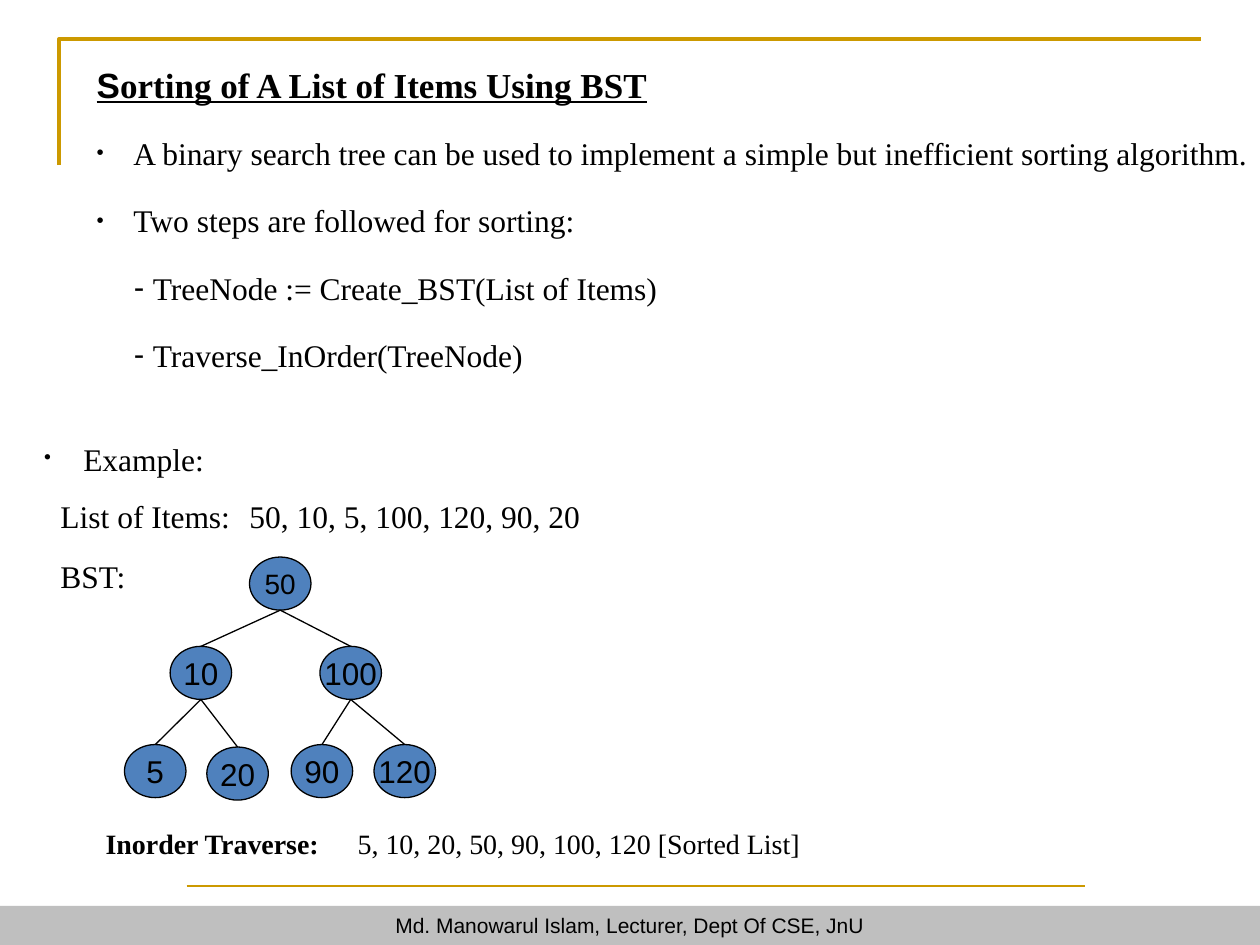
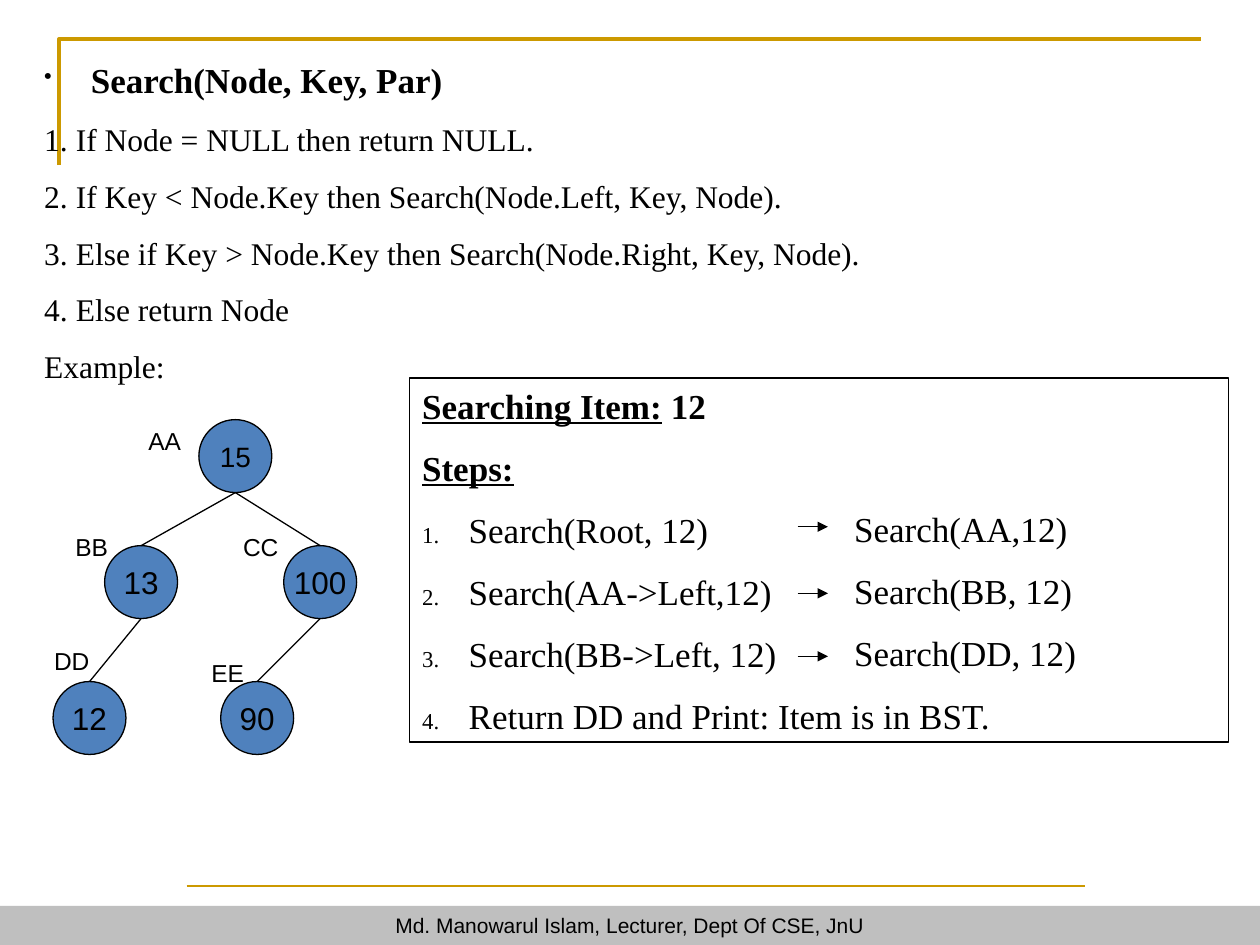
from dataclasses import dataclass
from lxml.etree import SubElement
from pptx import Presentation
from pptx.dml.color import RGBColor
from pptx.enum.shapes import MSO_CONNECTOR, MSO_SHAPE
from pptx.enum.text import MSO_ANCHOR, MSO_AUTO_SIZE, PP_ALIGN
from pptx.oxml.ns import qn
from pptx.util import Cm, Pt

BLACK, GOLD, GREY, BLUE = "000000", "CC9900", "BFBFBF", "4F81BD"
SERIF, SANS = "Times New Roman", "Arial"
FOOTER = "Md. Manowarul Islam, Lecturer, Dept Of CSE, JnU"


def color(hex_string):
    return RGBColor.from_string(hex_string)


@dataclass
class Part:
    text: str
    font: object = None
    bold: object = None
    underline: object = None


@dataclass
class Line:
    content: object
    marker: str = ""
    marker_percent: int = 65
    indent: float = 0
    hang: float = 0
    tab: float = 0
    before: float = 0
    after: float = 0
    size: float = 18
    spacing: float = 32.5
    font: str = SERIF
    bold: bool = False
    underline: bool = False
    align: object = PP_ALIGN.LEFT


def step(content, **options):
    return Line(content, size=20, spacing=24, **options)


def heading(content, **options):
    return step(content, bold=True, **options)


class Deck:
    def __init__(self):
        self.presentation = Presentation()
        self.presentation.slide_width = Cm(25.4)
        self.presentation.slide_height = Cm(19.05)
        self.slide = None

    def new_slide(self):
        layout = self.presentation.slide_layouts.get_by_name("Title and Content")
        self.slide = self.presentation.slides.add_slide(layout)
        self.connector((3.76, 17.86), (21.87, 17.86), GOLD, 1)
        self.shape(MSO_SHAPE.RECTANGLE, (0, 18.26, 25.4, 0.79), FOOTER, 12, GREY)
        builder = self.slide.shapes.build_freeform(Cm(1.19), Cm(3.33), scale=1.0)
        builder.add_line_segments([(Cm(1.19), Cm(0.79)), (Cm(24.21), Cm(0.79))], close=False)
        corner = builder.convert_to_shape()
        corner.shadow.inherit = False
        corner.fill.background()
        self.outline(corner, GOLD, 2)

    def outline(self, shape, hex_string, width):
        shape.line.color.rgb = color(hex_string)
        shape.line.width = Pt(width)

    def set_lines(self, shape, lines, anchor=MSO_ANCHOR.TOP, wrap=True, right_inset=0.25):
        frame = shape.text_frame
        frame.auto_size = MSO_AUTO_SIZE.NONE
        frame.word_wrap = wrap
        frame.vertical_anchor = anchor
        frame.margin_left, frame.margin_right = Cm(0.25), Cm(right_inset)
        frame.margin_top = frame.margin_bottom = Cm(0.13)
        for index, line in enumerate(lines):
            paragraph = frame.paragraphs[0] if index == 0 else frame.add_paragraph()
            self.style_paragraph(paragraph, line)

    def style_paragraph(self, paragraph, line):
        self.add_marker(paragraph, line)
        paragraph.alignment = line.align
        paragraph.line_spacing = Pt(line.spacing) if line.spacing else 1.0
        paragraph.space_before, paragraph.space_after = Pt(line.before), Pt(line.after)
        font = paragraph.font
        font.name, font.size = line.font, Pt(line.size)
        font.bold, font.underline = line.bold, line.underline
        font.color.rgb = color(BLACK)
        parts = [Part(line.content)] if isinstance(line.content, str) else line.content
        for part in parts:
            run = paragraph.add_run()
            run.text = part.text
            run.font.name = part.font
            run.font.bold = part.bold
            run.font.underline = part.underline

    def add_marker(self, paragraph, line):
        properties = paragraph._p.get_or_add_pPr()
        properties.set("marL", str(Cm(line.indent)))
        properties.set("indent", str(-Cm(line.hang)))
        if not line.marker:
            SubElement(properties, qn("a:buNone"))
        else:
            SubElement(properties, qn("a:buSzPct"), val=str(line.marker_percent * 1000))
            if line.marker == "1.":
                SubElement(properties, qn("a:buAutoNum"), type="arabicPeriod")
            else:
                SubElement(properties, qn("a:buChar"), char=line.marker)
        if line.tab:
            tabs = SubElement(properties, qn("a:tabLst"))
            SubElement(tabs, qn("a:tab"), pos=str(Cm(line.tab)), algn="l")

    def title(self, box, line):
        self.placeholder(self.slide.shapes.title, box, [line])

    def body(self, box, lines):
        self.placeholder(self.slide.placeholders[1], box, lines)

    def placeholder(self, shape, box, lines):
        shape.left, shape.top, shape.width, shape.height = map(Cm, box)
        self.slide.shapes._spTree.append(shape._element)
        self.set_lines(shape, lines, right_inset=0)

    def text(self, box, lines):
        self.set_lines(self.slide.shapes.add_textbox(*map(Cm, box)), lines)

    def shape(self, kind, box, text, size, fill, line=None):
        shape = self.slide.shapes.add_shape(kind, *map(Cm, box))
        shape.shadow.inherit = False
        shape.fill.solid()
        shape.fill.fore_color.rgb = color(fill)
        if line:
            self.outline(shape, line, 0.75)
        else:
            shape.line.fill.background()
        label = Line(text, size=size, spacing=0, font=SANS, align=PP_ALIGN.CENTER)
        self.set_lines(shape, [label], MSO_ANCHOR.MIDDLE, wrap=False)

    def panel(self, box, lines):
        panel = self.slide.shapes.add_shape(MSO_SHAPE.RECTANGLE, *map(Cm, box))
        panel.shadow.inherit = False
        panel.fill.background()
        self.outline(panel, BLACK, 0.75)
        self.set_lines(panel, lines)

    def connector(self, start, end, hex_string=BLACK, width=0.75, arrow=False):
        connector = self.slide.shapes.add_connector(
            MSO_CONNECTOR.STRAIGHT, *map(Cm, start + end))
        self.outline(connector, hex_string, width)
        properties = connector._element.spPr
        if arrow:
            SubElement(properties.get_or_add_ln(), qn("a:tailEnd"), type="triangle")
        SubElement(properties, qn("a:effectLst"))

    def tree(self, nodes, edges, width, height):
        for index, (value, (left, top)) in enumerate(nodes.items()):
            size = 16 if index == 0 else 18
            self.shape(MSO_SHAPE.OVAL, (left, top, width, height), value, size, BLUE, BLACK)
        for parent, child in edges:
            (left, top), (child_left, child_top) = nodes[parent], nodes[child]
            self.connector((left + width / 2, top + height), (child_left + width / 2, child_top))


def sorting_slide(deck):
    deck.new_slide()
    deck.title((1.7, 1.14, 22.8, 1.1), heading(
        [Part("S", font=SANS), Part("orting of A List of Items Using BST")], underline=True))
    bullet = dict(marker="•", indent=0.74, hang=0.74, after=6)
    dash = dict(marker="-", marker_percent=100, indent=1.13, hang=0.38, after=6)
    deck.body((1.7, 2.18, 23.7, 5.6), [
        Line("A binary search tree can be used to implement a simple but inefficient sorting algorithm.",
             **bullet),
        Line("Two steps are followed for sorting:", **bullet),
        Line("TreeNode := Create_BST(List of Items)", **dash),
        Line("Traverse_InOrder(TreeNode)", **dash),
    ])
    deck.text((0.64, 8.36, 6, 1.4), [Line("Example:", marker="•", indent=0.79, hang=0.79)])
    deck.text((0.97, 9.5, 15, 2.7), [
        Line("List of Items:\t50, 10, 5, 100, 120, 90, 20", tab=3.86),
        Line("BST:", before=1.8),
    ])
    nodes = {
        "50": (5.03, 11.23), "10": (3.43, 13.03), "100": (6.45, 13.03), "5": (2.51, 15.01),
        "20": (4.17, 15.06), "90": (5.87, 15.01), "120": (7.54, 15.01),
    }
    edges = [("50", "10"), ("50", "100"), ("10", "5"), ("10", "20"), ("100", "90"), ("100", "120")]
    deck.tree(nodes, edges, 1.24, 1.07)
    deck.text((1.88, 16.51, 16, 0.95), [Line(
        [Part("Inorder Traverse:", bold=True), Part("\t5, 10, 20, 50, 90, 100, 120 [Sorted List]")],
        tab=4.58, size=16, spacing=20)])


def searching_slide(deck):
    deck.new_slide()
    deck.title((0.64, 1.05, 22, 1.1),
               heading("Search(Node, Key, Par)", marker="•", indent=0.94, hang=0.94))
    rules = [
        "If Node = NULL then return NULL.",
        "If Key < Node.Key then Search(Node.Left, Key, Node).",
        "Else if Key > Node.Key then Search(Node.Right, Key, Node).",
        "Else return Node",
    ]
    numbered = dict(marker="1.", marker_percent=100, indent=0.64, hang=0.64)
    deck.body((0.64, 1.9, 23.9, 6.2),
              [Line(rule, **numbered) for rule in rules] + [Line("Example:")])

    calls = ["Search(Root, 12)", "Search(AA->Left,12)", "Search(BB->Left, 12)",
             "Return DD and Print: Item is in BST."]
    results = ["Search(AA,12)", "Search(BB, 12)", "Search(DD, 12)"]
    gap = 11.4
    deck.panel((8.26, 7.62, 16.51, 7.34), [
        heading([Part("Searching Item:", underline=True), Part(" 12")]),
        heading("Steps:", underline=True, before=gap),
        *[step(call, marker="1.", indent=0.94, hang=0.94, before=gap) for call in calls],
    ])
    deck.text((16.97, 10.11, 6.5, 4), [
        step(result, before=gap if index else 0) for index, result in enumerate(results)])
    for top in (10.62, 11.96, 13.23):
        deck.connector((16.08, top), (16.69, top), arrow=True)

    nodes = {"15": (4.01, 8.46), "13": (2.11, 11), "100": (5.72, 11),
             "12": (1.07, 13.74), "90": (4.45, 13.74)}
    deck.tree(nodes, [("15", "13"), ("15", "100"), ("13", "12"), ("100", "90")], 1.47, 1.47)
    addresses = {"AA": (2.74, 8.46), "BB": (1.27, 10.59), "CC": (4.65, 10.59),
                 "DD": (0.84, 12.9), "EE": (4.01, 13.13)}
    for address, (left, top) in addresses.items():
        deck.text((left, top, 1.7, 0.86), [Line(address, size=14, spacing=0, font=SANS)])


def main():
    deck = Deck()
    sorting_slide(deck)
    searching_slide(deck)
    deck.presentation.save("out.pptx")


if __name__ == "__main__":
    main()
